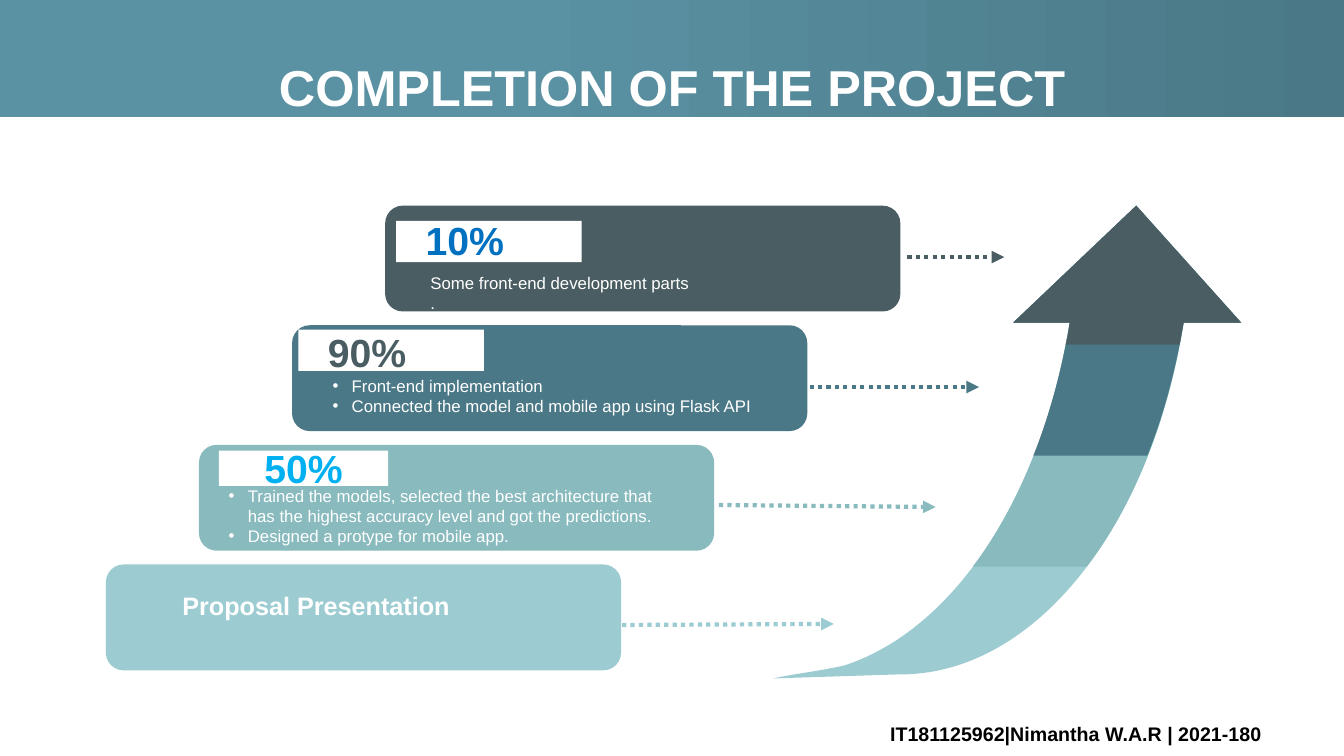
from lxml.etree import SubElement
from pptx import Presentation
from pptx.dml.color import RGBColor
from pptx.enum.dml import MSO_LINE
from pptx.enum.shapes import MSO_CONNECTOR, MSO_SHAPE
from pptx.enum.text import MSO_ANCHOR, PP_ALIGN
from pptx.oxml.ns import qn
from pptx.util import Inches, Pt

FONT = "Arial"
WHITE = RGBColor(0xFF, 0xFF, 0xFF)
BLACK = RGBColor(0, 0, 0)
BANNER_LEFT = RGBColor(0x5A, 0x92, 0xA3)
SLATE = RGBColor(0x4A, 0x5D, 0x62)
TEAL = RGBColor(0x4A, 0x78, 0x86)
SEA = RGBColor(0x88, 0xBA, 0xBE)
MIST = RGBColor(0x9C, 0xCC, 0xD2)
BLUE = RGBColor(0x00, 0x70, 0xC0)
SKY = RGBColor(0x00, 0xB0, 0xF0)

STAGE_COLORS = [SLATE, TEAL, SEA, MIST]  # top to bottom
CARD_STEP_X = 2.77 / 3
CARD_STEP_Y = 3.56 / 3

# Big arrow: a shared head, and a shaft for each layer.
# A segment of one point is a line, one of three points is a Bezier curve.
HEAD_START = [[(12.31, 3.2)], [(11.74, 3.2)]]
HEAD_TIP = (11.27, 2.04)
HEAD_END = [[(10.05, 3.2)]]
SHAFTS = [
    (MIST, [[(11.4, 5.3), (10.22, 6.7), (8.92, 6.69)],
            [(7.67, 6.73)],
            [(7.9, 6.68), (8.12, 6.66), (8.38, 6.6)],
            [(9.47, 6.24), (10.33, 4.92), (10.61, 3.2)]]),
    (SEA, [[(11.58, 4.19), (11.24, 5.02), (10.78, 5.62)],
           [(9.65, 5.62)],
           [(10.11, 5.01), (10.45, 4.17), (10.61, 3.2)]]),
    (TEAL, [[(11.66, 3.68), (11.54, 4.12), (11.38, 4.52)],
            [(10.25, 4.52)],
            [(10.41, 4.12), (10.53, 3.68), (10.61, 3.2)]]),
    (SLATE, [[(11.7, 3.42)],
             [(10.57, 3.42)],
             [(10.59, 3.35), (10.6, 3.28), (10.61, 3.2)]]),
]

DOTTED_ARROWS = [
    ((9, 2.55), (9.96, 2.55)),
    ((8.03, 3.84), (9.71, 3.84)),
    ((7.13, 5.01), (9.28, 5.03)),
    ((6.17, 6.2), (8.27, 6.19)),
]


def paint(shape, color):
    shape.shadow.inherit = False
    shape.line.fill.background()
    shape.fill.solid()
    shape.fill.fore_color.rgb = color


def add_box(slide, preset, left, top, width, height, color):
    shape = slide.shapes.add_shape(
        preset, Inches(left), Inches(top), Inches(width), Inches(height))
    paint(shape, color)
    return shape


def add_banner(slide):
    banner = add_box(slide, MSO_SHAPE.RECTANGLE, 0, 0, 13.33, 1.16, TEAL)
    banner.fill.gradient()
    banner.fill.gradient_angle = 0
    stops = banner.fill.gradient_stops
    for stop, position, color in zip(stops, (0.38, 1), (BANNER_LEFT, TEAL)):
        stop.position = position
        stop.color.rgb = color


def add_bullet(paragraph):
    properties = paragraph._p.get_or_add_pPr()
    properties.set("marL", str(Inches(0.19)))
    properties.set("indent", str(-Inches(0.19)))
    SubElement(properties, qn("a:buFont")).set("typeface", FONT)
    SubElement(properties, qn("a:buChar")).set("char", "•")


def write_text(shape, lines, size, color, bold=False, align=PP_ALIGN.LEFT,
               anchor=MSO_ANCHOR.TOP, bullets=False):
    frame = shape.text_frame
    frame.word_wrap = True
    frame.vertical_anchor = anchor
    frame.text = "\n".join(lines)
    for paragraph in frame.paragraphs:
        paragraph.alignment = align
        if bullets:
            add_bullet(paragraph)
        for run in paragraph.runs:
            run.font.name = FONT
            run.font.size = Pt(size)
            run.font.bold = bold
            run.font.color.rgb = color


def add_text(slide, left, top, width, height, lines, size, color, **style):
    box = slide.shapes.add_textbox(
        Inches(left), Inches(top), Inches(width), Inches(height))
    write_text(box, lines, size, color, **style)


def add_arrow_layer(group, color, shaft):
    segments = HEAD_START + shaft + HEAD_END
    corners = [[Inches(value) for value in segment[-1]]
               for segment in segments]
    builder = group.shapes.build_freeform(
        *[Inches(value) for value in HEAD_TIP], scale=1.0)
    builder.add_line_segments(corners, close=True)
    shape = builder.convert_to_shape()
    paint(shape, color)

    # Bend the sides that are curves
    sides = list(shape._element.iter(qn("a:lnTo")))
    for side, segment in zip(sides, segments):
        if len(segment) == 3:
            curve = SubElement(side.getparent(), qn("a:cubicBezTo"))
            for x, y in segment:
                point = SubElement(curve, qn("a:pt"))
                point.set("x", str(Inches(x) - shape.left))
                point.set("y", str(Inches(y) - shape.top))
            side.getparent().replace(side, curve)


def add_dotted_arrow(slide, start, end, color):
    connector = slide.shapes.add_connector(
        MSO_CONNECTOR.STRAIGHT, *[Inches(value) for value in start + end])
    connector.line.color.rgb = color
    connector.line.width = Pt(3)
    connector.line.dash_style = MSO_LINE.ROUND_DOT
    line = connector.line._get_or_add_ln()
    SubElement(line, qn("a:tailEnd")).set("type", "triangle")
    SubElement(connector._element.spPr, qn("a:effectLst"))


def main():
    presentation = Presentation()
    presentation.slide_width = Inches(13.33)
    presentation.slide_height = Inches(7.5)
    slide = presentation.slides.add_slide(presentation.slide_layouts[6])
    add_banner(slide)

    # Staircase of cards
    for index, color in enumerate(STAGE_COLORS):
        add_box(slide, MSO_SHAPE.ROUNDED_RECTANGLE,
                3.82 - index * CARD_STEP_X, 2.04 + index * CARD_STEP_Y,
                5.11, 1.05, color)

    # White labels behind the upper percentages
    for left, top in [(2.96, 3.27), (3.93, 2.19)]:
        add_box(slide, MSO_SHAPE.RECTANGLE, left, top, 1.84, 0.41, WHITE)

    # Title
    add_text(slide, 0.34, 0.46, 12.66, 0.79, ["COMPLETION OF THE PROJECT"],
             36, WHITE, bold=True, align=PP_ALIGN.CENTER,
             anchor=MSO_ANCHOR.MIDDLE)

    # Big arrow
    group = slide.shapes.add_group_shape()
    for color, shaft in SHAFTS:
        add_arrow_layer(group, color, shaft)

    # Upper percentages
    add_text(slide, 2.99, 3.21, 1.3, 0.57, ["90%"], 28, SLATE, bold=True,
             align=PP_ALIGN.CENTER)
    add_text(slide, 4.05, 2.1, 1.12, 0.57, ["10%"], 28, BLUE, bold=True,
             align=PP_ALIGN.CENTER)

    # Card texts
    add_text(slide, 4.17, 2.66, 4.35, 0.5,
             ["Some front-end development parts", "."], 12, WHITE)
    add_text(slide, 3.2, 3.68, 4.44, 0.5,
             ["Front-end implementation",
              "Connected the model and mobile app using Flask API"],
             12, WHITE, bullets=True)
    add_text(slide, 1.71, 5.81, 3.49, 0.4, ["Proposal Presentation"],
             18, WHITE, bold=True)

    # Dotted arrows
    for (start, end), color in zip(DOTTED_ARROWS, STAGE_COLORS):
        add_dotted_arrow(slide, start, end, color)

    # Third card: bullets and its percentage label
    add_text(slide, 2.17, 4.77, 4.44, 0.71,
             ["Trained the models, selected the best architecture that has "
              "the highest accuracy level and got the predictions.",
              "Designed a protype for mobile app."],
             12, WHITE, bullets=True)
    label = add_box(slide, MSO_SHAPE.RECTANGLE, 2.17, 4.47, 1.68, 0.35, WHITE)
    write_text(label, ["50%"], 28, SKY, bold=True, align=PP_ALIGN.CENTER,
               anchor=MSO_ANCHOR.MIDDLE)

    # Footer
    add_text(slide, 8.73, 7.11, 4.5, 0.34,
             ["IT181125962|Nimantha W.A.R | 2021-180"], 14, BLACK, bold=True)

    presentation.save("out.pptx")


if __name__ == "__main__":
    main()
